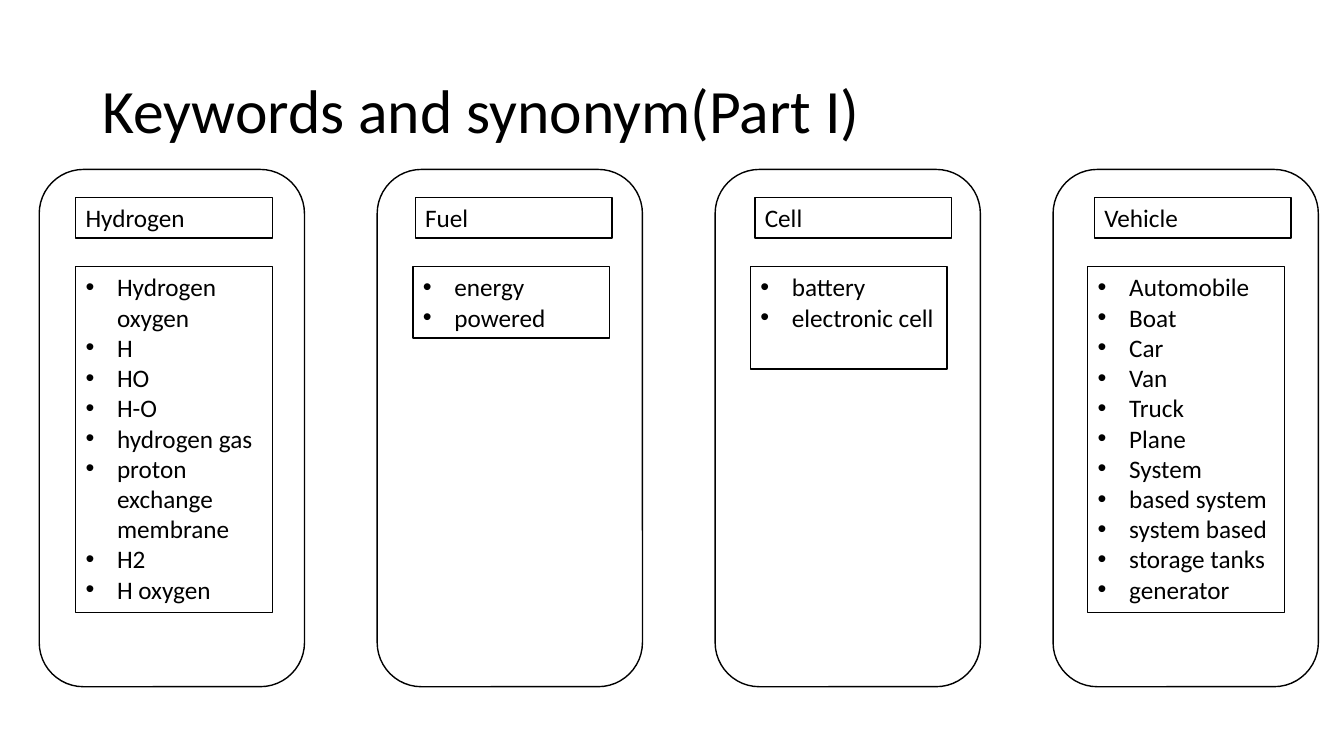
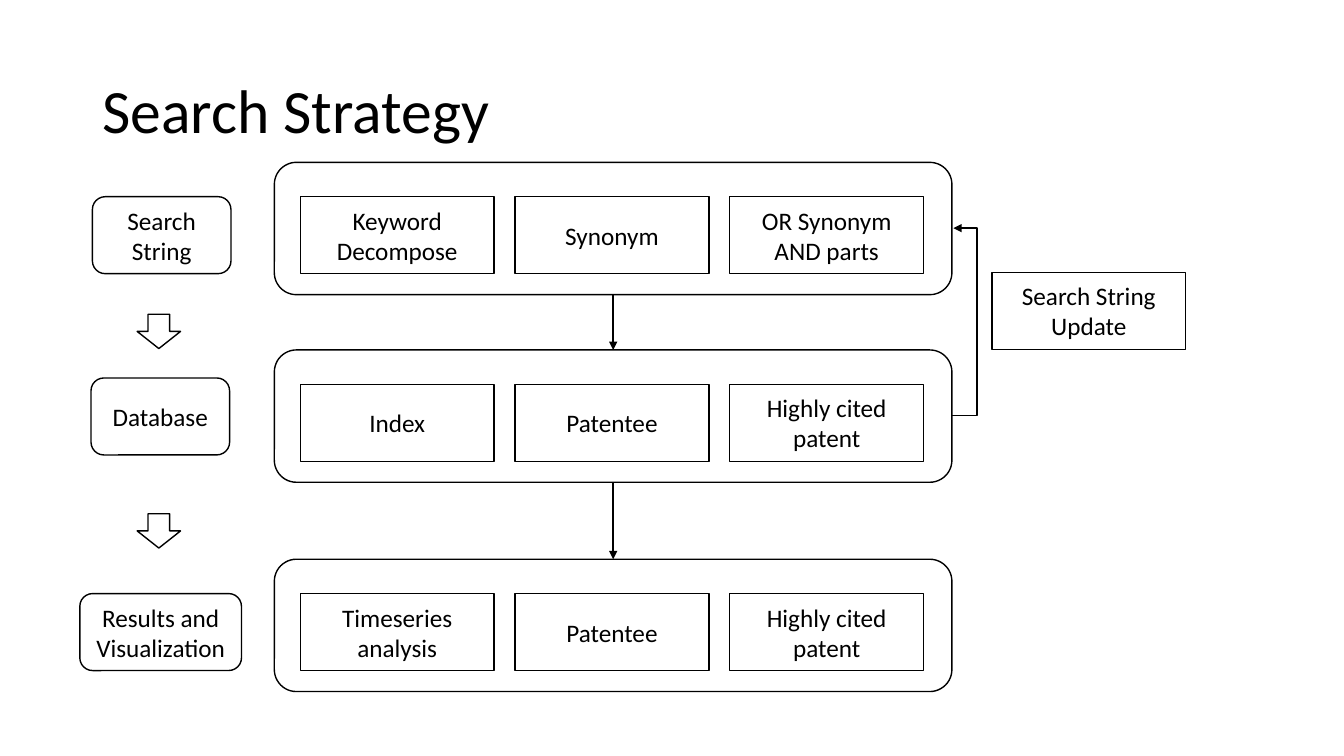
"""Builds two slides: keyword synonyms and the search strategy."""
from lxml import etree
from pptx import Presentation
from pptx.dml.color import RGBColor
from pptx.enum.shapes import MSO_CONNECTOR, MSO_SHAPE
from pptx.enum.text import MSO_ANCHOR, PP_ALIGN
from pptx.oxml.ns import qn
from pptx.util import Pt

RECT, ROUND, DOWN = MSO_SHAPE.RECTANGLE, MSO_SHAPE.ROUNDED_RECTANGLE, MSO_SHAPE.DOWN_ARROW
STRAIGHT, ELBOW = MSO_CONNECTOR.STRAIGHT, MSO_CONNECTOR.ELBOW
TOP, MIDDLE = MSO_ANCHOR.TOP, MSO_ANCHOR.MIDDLE
LEFT, CENTER = PP_ALIGN.LEFT, PP_ALIGN.CENTER
COLORS = {"ink": "000000", "paper": "FFFFFF"}
FONT = "Calibri"
INK = RGBColor.from_string(COLORS["ink"])
PAPER = RGBColor.from_string(COLORS["paper"])


def add_text(sp, text, size=18, align=CENTER, anchor=MIDDLE, spacing=1.0, bullet=False):
    tf = sp.text_frame
    tf.word_wrap = True
    tf.vertical_anchor = anchor
    for i, line in enumerate(text.split("\n")):
        p = tf.paragraphs[0] if i == 0 else tf.add_paragraph()
        p.alignment = align
        p.line_spacing = spacing
        r = p.add_run()
        r.text = line
        r.font.name = FONT
        r.font.size = Pt(size)
        r.font.color.rgb = INK
        if bullet:
            pPr = p._p.get_or_add_pPr()
            pPr.set("marL", str(Pt(22.5)))
            pPr.set("indent", str(-Pt(22.5)))
            etree.SubElement(pPr, qn("a:buFont"), typeface="Arial")
            etree.SubElement(pPr, qn("a:buChar"), char="•")


def add_box(s, kind, left, top, width, height):
    sp = s.shapes.add_shape(kind, Pt(left), Pt(top), Pt(width), Pt(height))
    sp.shadow.inherit = False
    sp.fill.solid()
    sp.fill.fore_color.rgb = PAPER
    sp.line.color.rgb = INK
    sp.line.width = Pt(1)
    return sp


prs = Presentation()
prs.slide_width, prs.slide_height = Pt(960), Pt(540)
blank = prs.slide_layouts[6]

keywords = [
    ("Hydrogen", 247, ["Hydrogen oxygen", "H", "HO", "H-O", "hydrogen gas",
                       "proton exchange membrane", "H2", "H oxygen"]),
    ("Fuel", 51, ["energy", "powered"]),
    ("Cell", 73, ["battery", "electronic cell"]),
    ("Vehicle", 247, ["Automobile", "Boat", "Car", "Van", "Truck", "Plane", "System",
                      "based system", "system based", "storage tanks", "generator"]),
]
s1 = prs.slides.add_slide(blank)
for i, (keyword, height, synonyms) in enumerate(keywords):
    add_box(s1, ROUND, 28 + 241.4 * i, 121, 189.5, 369.5)
    head = add_box(s1, RECT, 54 + 242.6 * i, 141, 140.5, 29)
    add_text(head, keyword, align=LEFT, anchor=TOP)
    listing = add_box(s1, RECT, 54 + 241 * i, 190.5, 140.5, height)
    add_text(listing, "\n".join(synonyms), align=LEFT, anchor=TOP, bullet=True)

stages = [
    (116, "Search String", 66, 140.5, 99,
     ["Keyword Decompose", "Synonym", "OR Synonym AND parts"]),
    (250, "Database", 65, 270, 99, ["Index", "Patentee", "Highly cited patent"]),
    (399.5, "Results and Visualization", 57, 424, 115.5,
     ["Timeseries analysis", "Patentee", "Highly cited patent"]),
]
s2 = prs.slides.add_slide(blank)
bands = []
for band_top, stage, left, top, width, steps in stages:
    bands.append(add_box(s2, ROUND, 196, band_top, 484, 94.5))
    add_text(add_box(s2, ROUND, left, top, width, 55), stage)
    for i, step in enumerate(steps):
        add_text(add_box(s2, RECT, 214.5 + 153.4 * i, band_top + 24.5, 138.5, 55), step)
add_text(add_box(s2, RECT, 708.5, 194.5, 138.5, 55), "Search String Update")
for top in (224.5, 367):
    add_box(s2, DOWN, 98, top, 31, 24.5)

arrows = []
for upper, lower in zip(bands, bands[1:]):
    arrow = s2.shapes.add_connector(STRAIGHT, 0, 0, 0, 0)
    arrow.begin_connect(upper, 2)
    arrow.end_connect(lower, 0)
    arrows.append(arrow)
feedback = s2.shapes.add_connector(ELBOW, Pt(680), Pt(297), Pt(681), Pt(163))
geometry = feedback._element.spPr.find(qn("a:prstGeom"))
adjusts = geometry.find(qn("a:avLst"))
if adjusts is None:
    adjusts = etree.SubElement(geometry, qn("a:avLst"))
etree.SubElement(adjusts, qn("a:gd"), name="adj1", fmla="val 1800000")
for arrow in arrows + [feedback]:
    arrow.line.color.rgb = INK
    arrow.line.width = Pt(1)
    etree.SubElement(arrow.line._get_or_add_ln(), qn("a:tailEnd"), type="triangle")
    etree.SubElement(arrow._element.spPr, qn("a:effectLst"))

for s, title in ((s1, "Keywords and synonym(Part I)"), (s2, "Search Strategy")):
    heading = s.shapes.add_textbox(Pt(66), Pt(29), Pt(828), Pt(104.5))
    add_text(heading, title, size=44, align=LEFT, spacing=0.9)

prs.save("out.pptx")
